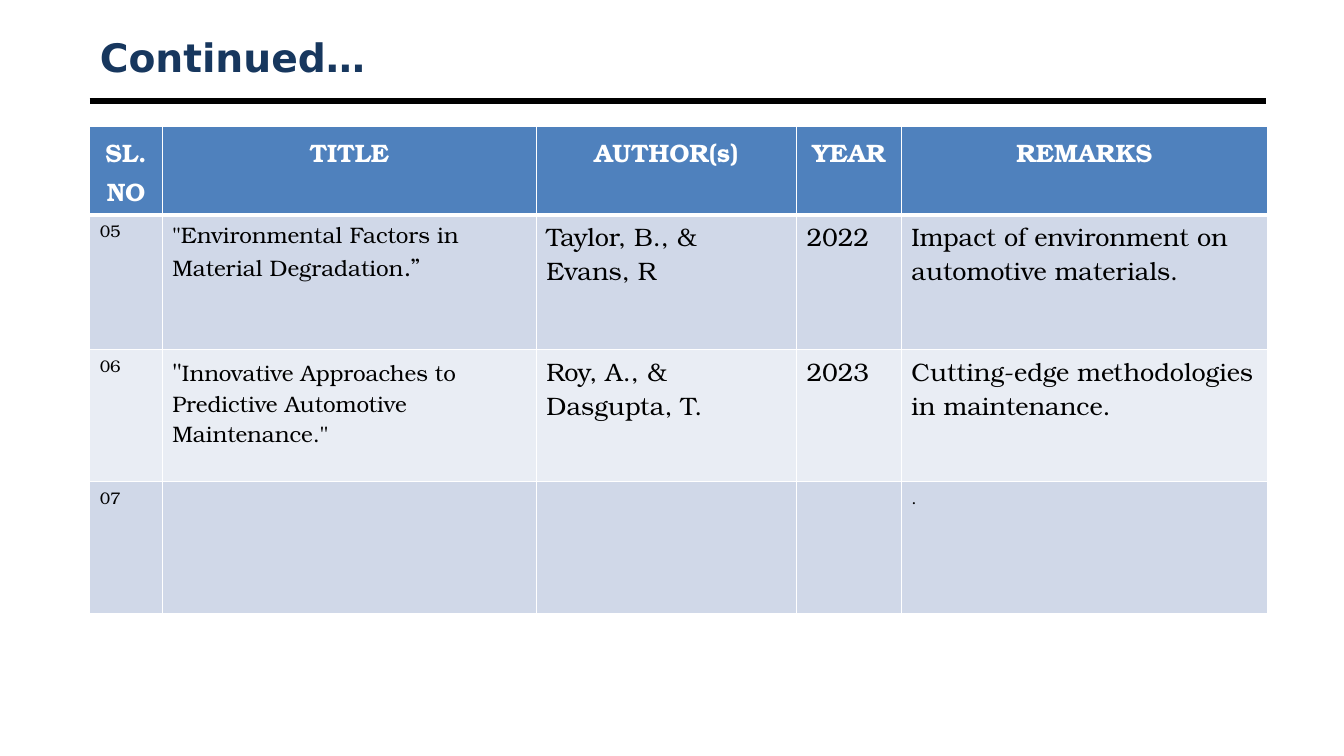
"""Build the continued literature survey slide with its table of references."""
import pptx
import pptx.util
import pptx.dml.color
import pptx.enum.shapes
import pptx.enum.text
import pptx.oxml
import pptx.oxml.ns

Inches, Pt = pptx.util.Inches, pptx.util.Pt
RGB = pptx.dml.color.RGBColor.from_string
ALIGN = pptx.enum.text.PP_ALIGN
COLORS = {"title": "17375E", "rule": "000000", "header": "4F81BD",
          "odd": "D0D8E8", "even": "E9EDF4", "text": "000000", "white": "FFFFFF"}
TABLE_FONT = "TeX Gyre Bonum"


def format_run(r, font, size, color, bold):
    r.font.name = font
    r.font.size = Pt(size)
    r.font.bold = bold
    r.font.color.rgb = RGB(COLORS[color])


def add_borders(cell, widths):
    tcPr = cell._tc.get_or_add_tcPr()
    for i, (side, width) in enumerate(widths.items()):
        tcPr.insert(i, pptx.oxml.parse_xml(
            f'<a:{side} {pptx.oxml.ns.nsdecls("a")} w="{Pt(width)}"><a:solidFill>'
            f'<a:srgbClr val="{COLORS["white"]}"/></a:solidFill></a:{side}>'))


prs = pptx.Presentation()
prs.slide_width, prs.slide_height = Inches(13.33), Inches(7.5)
s = prs.slides.add_slide(prs.slide_layouts[5])

rule = s.shapes.add_connector(pptx.enum.shapes.MSO_CONNECTOR.STRAIGHT,
                              Inches(0.89), Inches(1), Inches(12.56), Inches(1))
rule.line.color.rgb = RGB(COLORS["rule"])
rule.line.width = Pt(4.5)
rule._element.spPr.append(pptx.oxml.parse_xml(
    f'<a:effectLst {pptx.oxml.ns.nsdecls("a")}/>'))

title = s.shapes.title
title.left, title.top = Inches(0.89), Inches(0.3)
title.width, title.height = Inches(11.67), Inches(0.53)
tf = title.text_frame
tf.text = "Continued…"
tf.auto_size = pptx.enum.text.MSO_AUTO_SIZE.NONE
tf.vertical_anchor = pptx.enum.text.MSO_ANCHOR.MIDDLE
p = tf.paragraphs[0]
p.alignment = ALIGN.LEFT
format_run(p.runs[0], "DejaVu Sans", 28, "title", True)

rows = [
    ["SL.NO", "TITLE", "AUTHOR(s)", "YEAR", "REMARKS"],
    ["05", '"Environmental Factors in\nMaterial Degradation', "Taylor, B., &\nEvans, R",
     "2022", "Impact of environment on automotive materials."],
    ["06", '"\nPredictive Automotive\nMaintenance."', "Roy, A., & Dasgupta, T.",
     "2023", "Cutting-edge methodologies in maintenance."],
    ["07", "", "", "", "."],
]
col_widths = [0.72, 3.71, 2.58, 1.04, 3.63]
row_heights = [0.73, 1.34, 1.31, 1.31]
col_sizes = [12, 16, 18, 18, 18]

tbl = s.shapes.add_table(len(rows), len(col_widths), Inches(0.89), Inches(1.25),
                         Inches(sum(col_widths)), Inches(sum(row_heights))).table
for col, width in zip(tbl.columns, col_widths):
    col.width = Inches(width)
for i, (row, height) in enumerate(zip(rows, row_heights)):
    tbl.rows[i].height = Inches(height)
    header = i == 0
    fill = "header" if header else "odd" if i % 2 else "even"
    for j, text in enumerate(row):
        cell = tbl.cell(i, j)
        cell.fill.solid()
        cell.fill.fore_color.rgb = RGB(COLORS[fill])
        add_borders(cell, {"lnL": 1, "lnR": 1, "lnT": 3 if i == 1 else 1,
                           "lnB": 3 if header else 1})
        if not text:
            continue
        cell.text_frame.text = text
        for p in cell.text_frame.paragraphs:
            if header:
                p.alignment = ALIGN.CENTER
                p.line_spacing = 1.07
            for r in p.runs:
                format_run(r, TABLE_FONT, 18 if header else col_sizes[j],
                           "white" if header else "text", header)

for i, line, tail, head_size, tail_size in [
        (1, 1, ".”", 16, 18), (2, 0, "Innovative Approaches to", 18, 16)]:
    p = tbl.cell(i, 1).text_frame.paragraphs[line]
    p.runs[0].font.size = Pt(head_size)
    r = p.add_run()
    r.text = tail
    format_run(r, TABLE_FONT, tail_size, "text", False)

p = tbl.cell(3, 4).text_frame.paragraphs[0]
p.alignment = ALIGN.JUSTIFY
p.runs[0].font.size = Pt(12)

prs.save("out.pptx")
